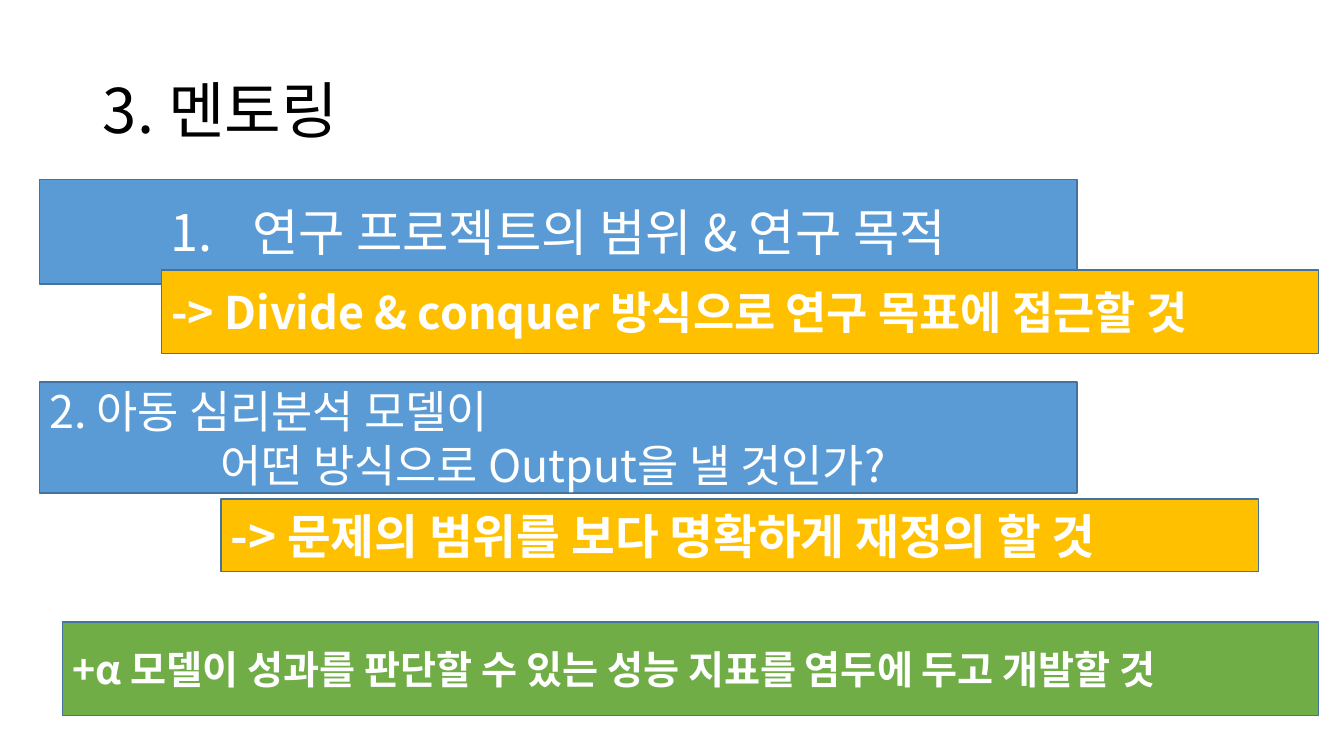
"""Build the mentoring slide: a title, two questions with advice, and an extra tip."""
from dataclasses import dataclass

from lxml.etree import SubElement
from pptx import Presentation
from pptx.dml.color import RGBColor
from pptx.enum.shapes import MSO_SHAPE
from pptx.enum.text import MSO_ANCHOR, MSO_AUTO_SIZE, PP_ALIGN
from pptx.oxml.ns import qn
from pptx.slide import Slide
from pptx.text.text import TextFrame
from pptx.util import Inches, Pt


@dataclass(frozen=True)
class Theme:
    font: str = "Noto Sans CJK KR"
    title: str = "000000"
    text: str = "FFFFFF"
    question: str = "5B9BD5"
    advice: str = "FFC000"
    extra: str = "70AD47"
    border: str = "43739E"
    title_size: int = 44
    topic_size: int = 36
    advice_size: int = 34
    body_size: int = 32
    extra_size: int = 28


@dataclass(frozen=True)
class Line:
    text: str
    align: PP_ALIGN = PP_ALIGN.LEFT
    numbered: bool = False


@dataclass(frozen=True)
class Banner:
    left: float
    top: float
    width: float
    height: float
    fill: str
    size: int
    lines: tuple[Line, ...]
    bold: bool = False


THEME = Theme()
QUESTION_LEFT, BAR_WIDTH = 0.39, 10.29
NUMBER_INDENT = Inches(0.81)

BANNERS = (
    Banner(QUESTION_LEFT, 1.78, BAR_WIDTH, 1.04, THEME.question, THEME.topic_size,
           (Line("연구 프로젝트의 범위 & 연구 목적", PP_ALIGN.CENTER, numbered=True),)),
    Banner(QUESTION_LEFT, 3.79, BAR_WIDTH, 1.1, THEME.question, THEME.body_size,
           (Line("2. 아동 심리분석 모델이 "),
            Line("어떤 방식으로 Output을 낼 것인가? ", PP_ALIGN.CENTER))),
    Banner(1.6, 2.68, 11.48, 0.83, THEME.advice, THEME.body_size,
           (Line("-> Divide & conquer 방식으로 연구 목표에 접근할 것"),), bold=True),
    Banner(2.19, 4.95, BAR_WIDTH, 0.72, THEME.advice, THEME.advice_size,
           (Line("-> 문제의 범위를 보다 명확하게 재정의 할 것"),), bold=True),
    Banner(0.62, 6.17, 12.46, 0.93, THEME.extra, THEME.extra_size,
           (Line("+α 모델이 성과를 판단할 수 있는 성능 지표를 염두에 두고 개발할 것"),), bold=True),
)


def write(tf: TextFrame, lines: tuple[Line, ...], *, size: int, color: str,
          bold: bool = False, spacing: float = 1.0) -> None:
    """Fill a text frame with formatted lines, centred vertically."""
    tf.word_wrap = True
    tf.auto_size = MSO_AUTO_SIZE.NONE
    tf.vertical_anchor = MSO_ANCHOR.MIDDLE
    for i, line in enumerate(lines):
        p = tf.add_paragraph() if i else tf.paragraphs[0]
        p.alignment = line.align
        p.line_spacing = spacing
        if line.numbered:
            number(p)
        r = p.add_run()
        r.text = line.text
        r.font.size, r.font.bold = Pt(size), bold
        r.font.color.rgb = RGBColor.from_string(color)
        r.font.name = THEME.font
        SubElement(r.font._element, qn("a:ea"), typeface=THEME.font)


def number(p) -> None:
    """Give a paragraph an automatic number with a hanging indent."""
    pPr = p._p.get_or_add_pPr()
    pPr.set("marL", str(NUMBER_INDENT))
    pPr.set("indent", str(-NUMBER_INDENT))
    SubElement(pPr, qn("a:buFont"), typeface=THEME.font)
    SubElement(pPr, qn("a:buAutoNum"), type="arabicPeriod")


def add_title(s: Slide, text: str) -> None:
    """Place and format the title placeholder."""
    sp = s.shapes.title
    sp.left, sp.top, sp.width, sp.height = map(Inches, (0.92, 0.4, 11.5, 1.45))
    write(sp.text_frame, (Line(text),), size=THEME.title_size, color=THEME.title, spacing=0.9)


def add_banner(s: Slide, b: Banner) -> None:
    """Draw one coloured bar with its text."""
    box = map(Inches, (b.left, b.top, b.width, b.height))
    sp = s.shapes.add_shape(MSO_SHAPE.RECTANGLE, *box)
    sp.shadow.inherit = False
    sp.fill.solid()
    sp.fill.fore_color.rgb = RGBColor.from_string(b.fill)
    sp.line.color.rgb = RGBColor.from_string(THEME.border)
    sp.line.width = Pt(1)
    write(sp.text_frame, b.lines, size=b.size, color=THEME.text, bold=b.bold)


def main() -> None:
    """Build and save the slide."""
    prs = Presentation()
    prs.slide_width, prs.slide_height = Inches(13.33), Inches(7.5)
    s = prs.slides.add_slide(prs.slide_layouts.get_by_name("Title Only"))
    add_title(s, "3. 멘토링")
    for banner in BANNERS:
        add_banner(s, banner)
    prs.save("out.pptx")


main()
